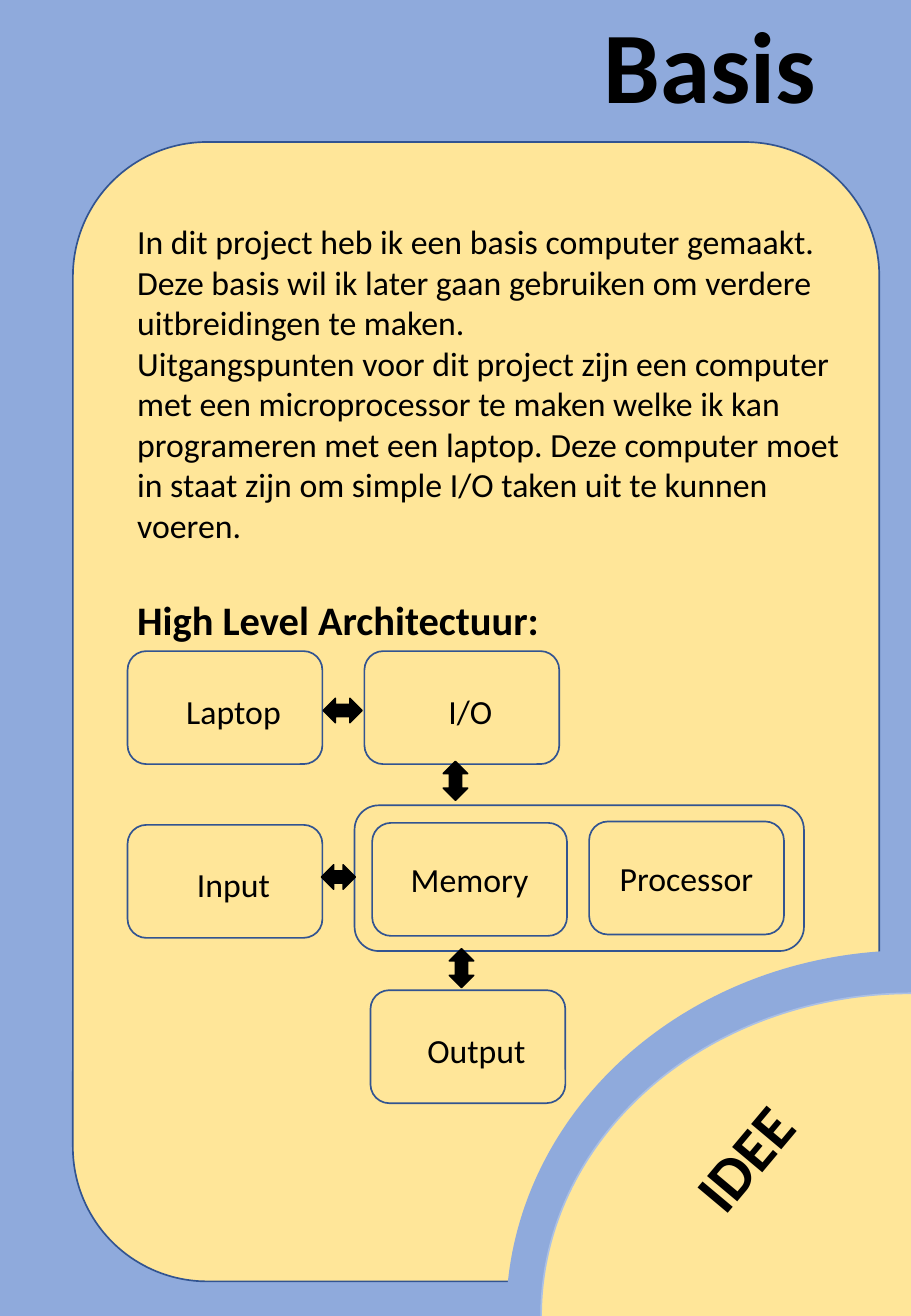
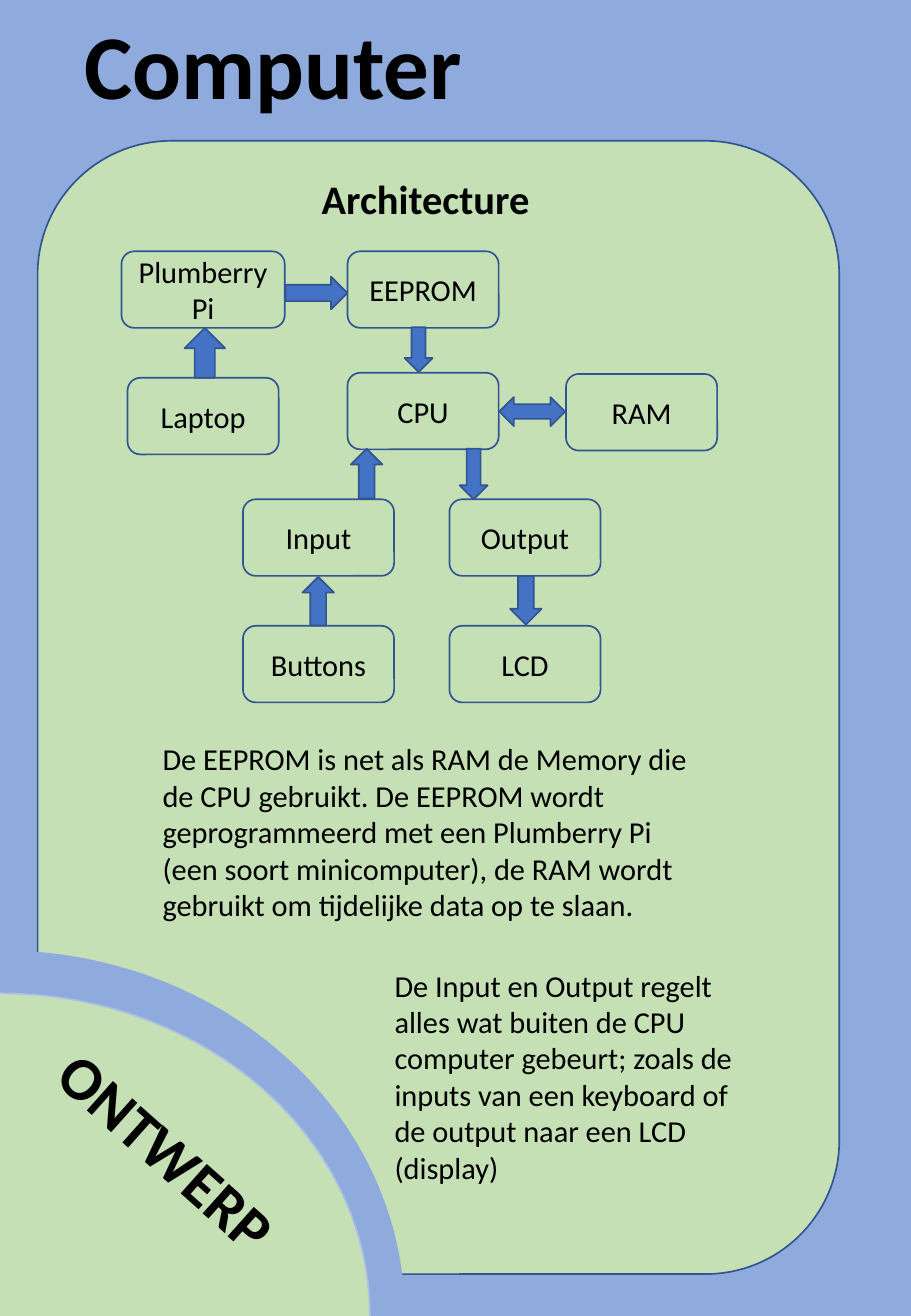
from pptx import Presentation
from pptx.dml.color import RGBColor
from pptx.enum.shapes import MSO_SHAPE
from pptx.enum.text import MSO_ANCHOR, PP_ALIGN
from pptx.util import Pt

BLUE = RGBColor(0x8F, 0xAA, 0xDC)
PALE_BLUE = RGBColor(0xAB, 0xC0, 0xE4)
ARROW_BLUE = RGBColor(0x44, 0x72, 0xC4)
OUTLINE = RGBColor(0x32, 0x54, 0x91)
YELLOW = RGBColor(0xFF, 0xE6, 0x99)
GREEN = RGBColor(0xC5, 0xE0, 0xB4)
BLACK = RGBColor(0, 0, 0)
FONT = "Calibri"

ROUNDED = MSO_SHAPE.ROUNDED_RECTANGLE
OVAL = MSO_SHAPE.OVAL
UP = MSO_SHAPE.UP_ARROW
DOWN = MSO_SHAPE.DOWN_ARROW
RIGHT = MSO_SHAPE.RIGHT_ARROW
LEFT_RIGHT = MSO_SHAPE.LEFT_RIGHT_ARROW
UP_DOWN = MSO_SHAPE.UP_DOWN_ARROW
ALIGN_LEFT, ALIGN_CENTER, ALIGN_RIGHT = PP_ALIGN.LEFT, PP_ALIGN.CENTER, PP_ALIGN.RIGHT
MIDDLE = MSO_ANCHOR.MIDDLE

SLIDE_W, SLIDE_H = 540, 780.12
TITLE_ONLY = 5

BASIS_TEXT = (
    "In dit project heb ik een basis computer gemaakt. Deze basis wil ik later "
    "gaan gebruiken om verdere uitbreidingen te maken.\n"
    "Uitgangspunten voor dit project zijn een computer met een microprocessor te "
    "maken welke ik kan programeren met een laptop. Deze computer moet in staat "
    "zijn om simple I/O taken uit te kunnen voeren."
)
MEMORY_TEXT = (
    "De EEPROM is net als RAM de Memory die de CPU gebruikt. De EEPROM wordt "
    "geprogrammeerd met een Plumberry Pi (een soort minicomputer), de RAM wordt "
    "gebruikt om tijdelijke data op te slaan."
)
IO_TEXT = (
    "De Input en Output regelt alles wat buiten de CPU computer gebeurt; zoals de "
    "inputs van een keyboard of de output naar een LCD (display)"
)


def add_shape(s, kind, box, fill=None, line=None):
    sp = s.shapes.add_shape(kind, *map(Pt, box))
    sp.shadow.inherit = False
    if fill is None:
        sp.fill.background()
    else:
        sp.fill.solid()
        sp.fill.fore_color.rgb = fill
    if line is None:
        sp.line.fill.background()
    else:
        sp.line.color.rgb = line
        sp.line.width = Pt(1)
    return sp


def set_text(tf, text, size, bold=False, align=ALIGN_LEFT):
    tf.word_wrap = True
    tf.text = text
    for p in tf.paragraphs:
        p.alignment = align
        for r in p.runs:
            r.font.name = FONT
            r.font.size = Pt(size)
            r.font.bold = bold
            r.font.color.rgb = BLACK


def add_text(s, box, text, size, bold=False, align=ALIGN_LEFT, rotation=0):
    sp = s.shapes.add_textbox(*map(Pt, box))
    set_text(sp.text_frame, text, size, bold, align)
    sp.rotation = rotation


def add_node(s, box, text, size, fill=None, shift=(0, 0)):
    sp = add_shape(s, ROUNDED, box, fill, OUTLINE)
    tf = sp.text_frame
    set_text(tf, text, size, align=ALIGN_CENTER)
    tf.vertical_anchor = MIDDLE
    tf.margin_left = Pt(7.2 + 2 * shift[0])
    tf.margin_top = Pt(3.6 + 2 * shift[1])


def add_arrows(s, x, y, arrows, fill, line):
    for kind, dx, dy, w, h in arrows:
        add_shape(s, kind, (x + dx, y + dy, w, h), fill, line)


def add_title(s, box, text, size, align, right_margin=7.2):
    title = s.shapes.title
    title.left, title.top, title.width, title.height = map(Pt, box)
    tf = title.text_frame
    set_text(tf, text, size, True, align)
    tf.vertical_anchor = MIDDLE
    tf.margin_right = Pt(right_margin)
    tf.paragraphs[0].line_spacing = 0.9


def add_corner(s, center_x, color, label_box, label, rotation):
    for w, h, fill, line in ((480, 433.5, BLUE, None), (438.5, 382.5, color, PALE_BLUE)):
        box = (center_x - w / 2, SLIDE_H - h / 2, w, h)
        add_shape(s, OVAL, box, fill, line)
    add_text(s, label_box, label, 36, True, ALIGN_CENTER, rotation)


def basis_diagram(s, x, y):
    w, h = 115.5, 67
    outer = (("Laptop", 0, 0), ("I/O", 140.4, 0),
             ("Input", 0, 103), ("Output", 144, 201))
    inner = (("Memory", 145, 101.8), ("Processor", 273.6, 101))
    arrows = (
        (LEFT_RIGHT, 116, 28, 23, 14.4),
        (LEFT_RIGHT, 115, 126.7, 20, 14.4),
        (UP_DOWN, 187.2, 65.4, 14.4, 23),
        (UP_DOWN, 190.8, 176.4, 14.4, 23),
    )
    add_shape(s, ROUNDED, (x + 134.6, y + 91.4, 266.4, 86.4), None, OUTLINE)
    for nodes, shift in ((outer, (5, 1.8)), (inner, (0, 0))):
        for text, dx, dy in nodes:
            add_node(s, (x + dx, y + dy, w, h), text, 20, shift=shift)
    add_arrows(s, x, y, arrows, BLACK, BLACK)


def computer_diagram(s, x, y):
    w, h = 89.6, 45.4
    nodes = (
        ("Plumberry\nPi", 0, 0, 96.8),
        ("EEPROM", 134, 0, w),
        ("Laptop", 3.6, 75, w),
        ("CPU", 134, 72, w),
        ("RAM", 263.5, 72.7, w),
        ("Input", 72, 147, w),
        ("Output", 194.4, 147, w),
        ("Buttons", 72, 222, w),
        ("LCD", 194.4, 222, w),
    )
    arrows = (
        (UP, 37.4, 45.4, 24, 29.5),
        (RIGHT, 97.2, 15, 36.7, 19.4),
        (DOWN, 167.8, 45, 16.6, 26.6),
        (UP, 136, 117, 18.7, 29.5),
        (DOWN, 200.5, 117, 16.6, 30),
        (LEFT_RIGHT, 224, 86.4, 39, 17.3),
        (UP, 107.3, 193, 18.7, 28.8),
        (DOWN, 230.4, 192.5, 18.7, 28.8),
    )
    for text, dx, dy, node_w in nodes:
        add_node(s, (x + dx, y + dy, node_w, h), text, 18, GREEN)
    add_arrows(s, x, y, arrows, ARROW_BLUE, OUTLINE)


def basis_slide(s, x, y, w, h):
    add_title(s, (x, 0, w, y), "Basis", 60, ALIGN_RIGHT, 37.5)
    add_shape(s, ROUNDED, (x, y, w, h), YELLOW, OUTLINE)
    add_text(s, (x + 31, y + 43.2, 445.7, 201), BASIS_TEXT, 20)
    add_text(s, (x + 31, y + 265, 270, 36), "High Level Architectuur:", 24, True)
    add_corner(s, SLIDE_W, YELLOW, (361.5, 661, 158.4, 51), "IDEE", 310)
    basis_diagram(s, x + 32.4, y + 301.8)


def computer_slide(s, x, y, w, h):
    add_title(s, (x + 20.7, 0, 487, y), "Computer", 54, ALIGN_LEFT)
    add_shape(s, ROUNDED, (x, y, w, h), GREEN, OUTLINE)
    add_corner(s, 0, GREEN, (13, 656.6, 172.8, 51), "ONTWERP", 41.7)
    computer_diagram(s, x + 49.7, y + 65.5)
    add_text(s, (x + 161.3, y + 16, 146, 36), "Architecture", 24, True)
    add_text(s, (x + 67, y + 352, 335.5, 116.6), MEMORY_TEXT, 18)
    add_text(s, (x + 204.5, y + 486, 233.3, 138), IO_TEXT, 18)


def main():
    prs = Presentation()
    prs.slide_width, prs.slide_height = Pt(SLIDE_W), Pt(SLIDE_H)
    background = prs.slide_master.background.fill
    background.solid()
    background.fore_color.rgb = BLUE
    layout = prs.slide_layouts[TITLE_ONLY]
    basis_slide(prs.slides.add_slide(layout), 43.2, 84.2, 478, 675.4)
    computer_slide(prs.slides.add_slide(layout), 22.3, 83.5, 475.2, 671.8)
    prs.save("out.pptx")


if __name__ == "__main__":
    main()
